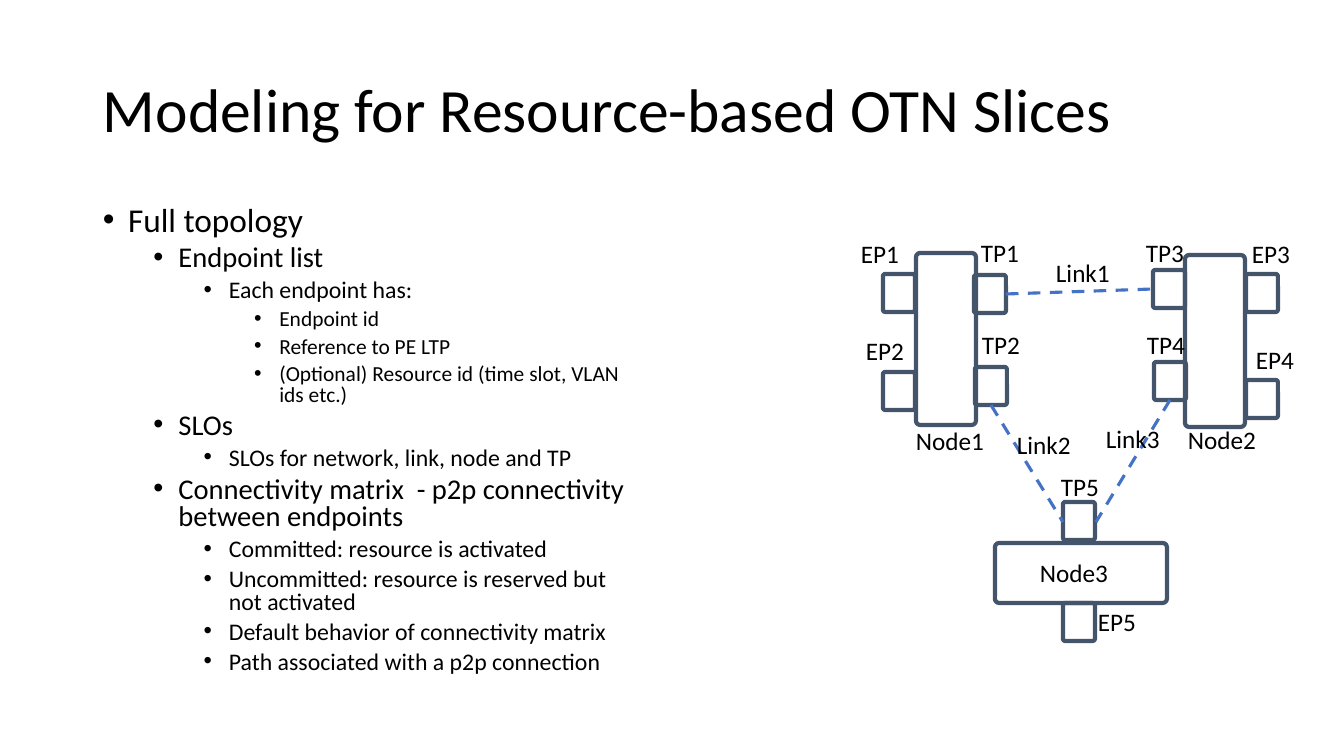
from dataclasses import dataclass

from lxml import etree
from pptx import Presentation
from pptx.dml.color import RGBColor
from pptx.enum.dml import MSO_LINE
from pptx.enum.shapes import MSO_CONNECTOR, MSO_SHAPE
from pptx.enum.text import MSO_ANCHOR
from pptx.oxml.ns import qn
from pptx.util import Pt

ROUNDED = MSO_SHAPE.ROUNDED_RECTANGLE
STRAIGHT = MSO_CONNECTOR.STRAIGHT
DASH = MSO_LINE.DASH
MIDDLE = MSO_ANCHOR.MIDDLE
TOP = MSO_ANCHOR.TOP
SCALE = 914400 / 100.8


@dataclass(frozen=True)
class Theme:
    font: str = "Calibri"
    text: RGBColor = RGBColor(0, 0, 0)
    outline: RGBColor = RGBColor(0x44, 0x54, 0x6A)
    link: RGBColor = RGBColor(0x44, 0x72, 0xC4)
    title_size: float = 44
    label_size: float = 18
    outline_sizes: tuple = (23.8, 20.4, 17, 15.3)
    box_width: float = 3
    link_width: float = 2.25


theme = Theme()


def emu(*pixels):
    return [round(value * SCALE) for value in pixels]


def add_text(bounds, lines, anchor=TOP):
    frame = slide.shapes.add_textbox(*emu(*bounds)).text_frame
    frame.word_wrap = True
    frame.vertical_anchor = anchor
    for index, (text, size) in enumerate(lines):
        paragraph = frame.add_paragraph() if index else frame.paragraphs[0]
        run = paragraph.add_run()
        run.text = text
        run.font.color.rgb = theme.text
        for key, value in {"name": theme.font, "size": Pt(size)}.items():
            setattr(run.font, key, value)
    return frame


prs = Presentation()
prs.slide_width, prs.slide_height = emu(1344, 756)
slide = prs.slides.add_slide(prs.slide_layouts[6])

title = add_text((93, 40, 1159, 146),
                 [("Modeling for Resource-based OTN Slices", theme.title_size)], MIDDLE)
title.paragraphs[0].line_spacing = 0.9

topology_outline = [
    (0, "Full topology"),
    (1, "Endpoint list"),
    (2, "Each endpoint has:"),
    (3, "Endpoint id"),
    (3, "Reference to PE LTP"),
    (3, "(Optional) Resource id (time slot, VLAN ids etc.)"),
    (1, "SLOs"),
    (2, "SLOs for network, link, node and TP"),
    (1, "Connectivity matrix  - p2p connectivity between endpoints"),
    (2, "Committed: resource is activated"),
    (2, "Uncommitted: resource is reserved but not activated"),
    (2, "Default behavior of connectivity matrix"),
    (2, "Path associated with a p2p connection"),
]
outline = add_text((93, 202, 561, 480),
                   [(text, theme.outline_sizes[level]) for level, text in topology_outline])
for paragraph, (level, _) in zip(outline.paragraphs, topology_outline):
    for key, value in {"level": level, "line_spacing": 0.8,
                       "space_before": Pt(5 if level else 10)}.items():
        setattr(paragraph, key, value)
    properties = paragraph._p.get_or_add_pPr()
    indent, hanging = emu(25.2 + 50.4 * level, -25.2)
    properties.set("marL", str(indent))
    properties.set("indent", str(hanging))
    etree.SubElement(properties, qn("a:buFont")).set("typeface", "Arial")
    etree.SubElement(properties, qn("a:buChar")).set("char", "•")

nodes = [(916, 253, 60, 172), (1185, 255, 60, 172), (995, 543, 172, 60)]
port_corners = [
    (883, 274), (883, 372), (1246, 274), (1246, 380), (1063, 603),
    (974, 275), (975, 367), (1153, 270), (1154, 362), (1063, 502),
]
ports = [(left, top, 32, 38) for left, top in port_corners]
for bounds in nodes + ports:
    box = slide.shapes.add_shape(ROUNDED, *emu(*bounds))
    box.adjustments[0] = 0.07
    box.shadow.inherit = False
    box.fill.background()
    box.line.color.rgb = theme.outline
    box.line.width = Pt(theme.box_width)

links = [(1006, 294, 1153, 289), (991, 405, 1063, 522), (1170, 400, 1096, 522)]
for ends in links:
    link = slide.shapes.add_connector(STRAIGHT, *emu(*ends))
    link.line.color.rgb = theme.link
    for key, value in {"width": Pt(theme.link_width), "dash_style": DASH}.items():
        setattr(link.line, key, value)
    etree.SubElement(link._element.spPr, qn("a:effectLst"))

label_widths = {"Node": 99, "Link": 123, "EP": 73, "TP": 73}
label_corners = {
    "Node": [(906, 420), (1178, 419), (1030, 552)],
    "Link": [(1046, 252), (1007, 424), (1096, 418)],
    "EP": [(851, 233), (856, 330), (1242, 233), (1246, 339), (1088, 601)],
    "TP": [(971, 232), (972, 324), (1136, 232), (1137, 324), (1051, 466)],
}
for prefix, corners in label_corners.items():
    for number, corner in enumerate(corners, 1):
        add_text((*corner, label_widths[prefix], 40),
                 [(f"{prefix}{number}", theme.label_size)])

prs.save("out.pptx")
